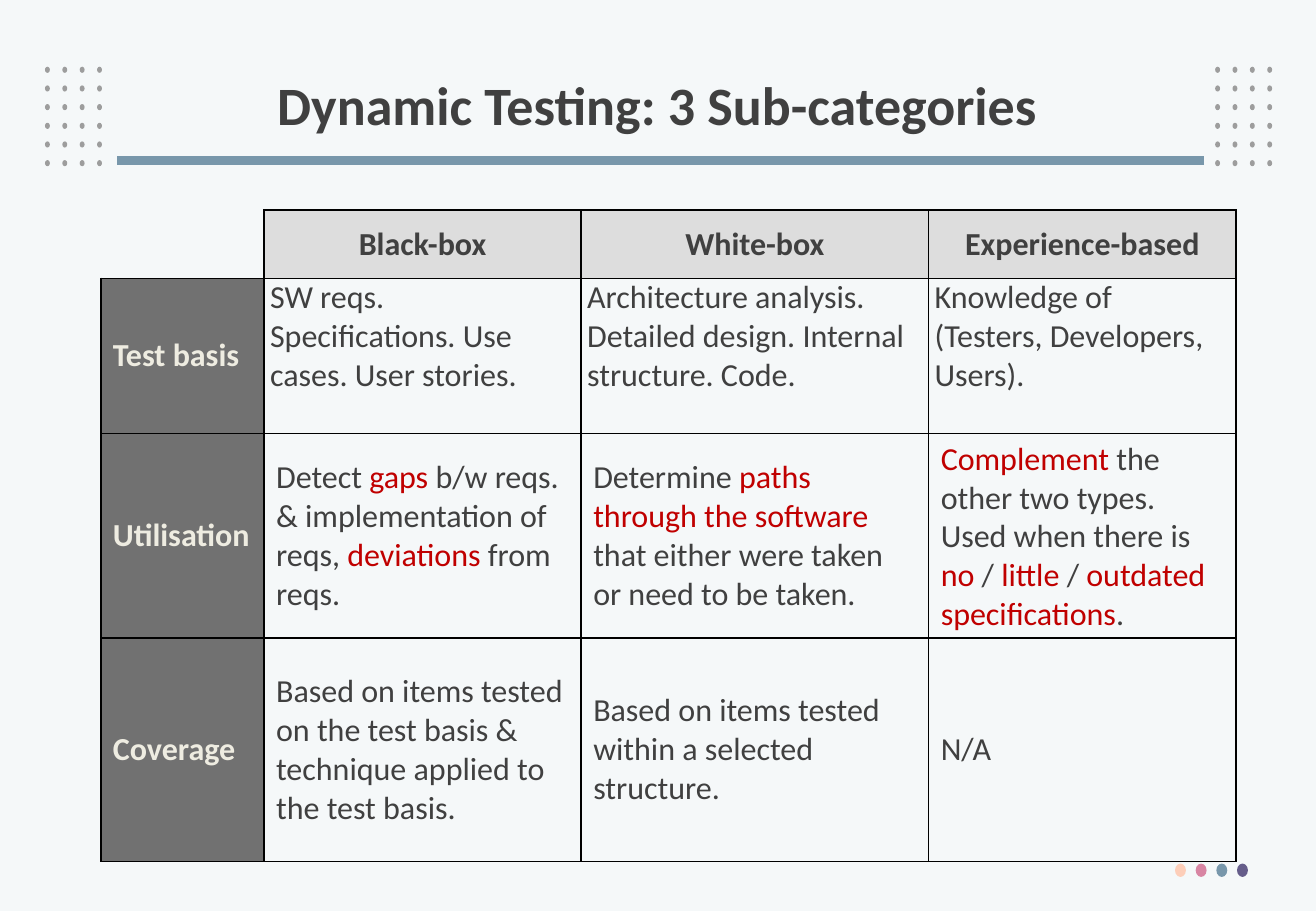
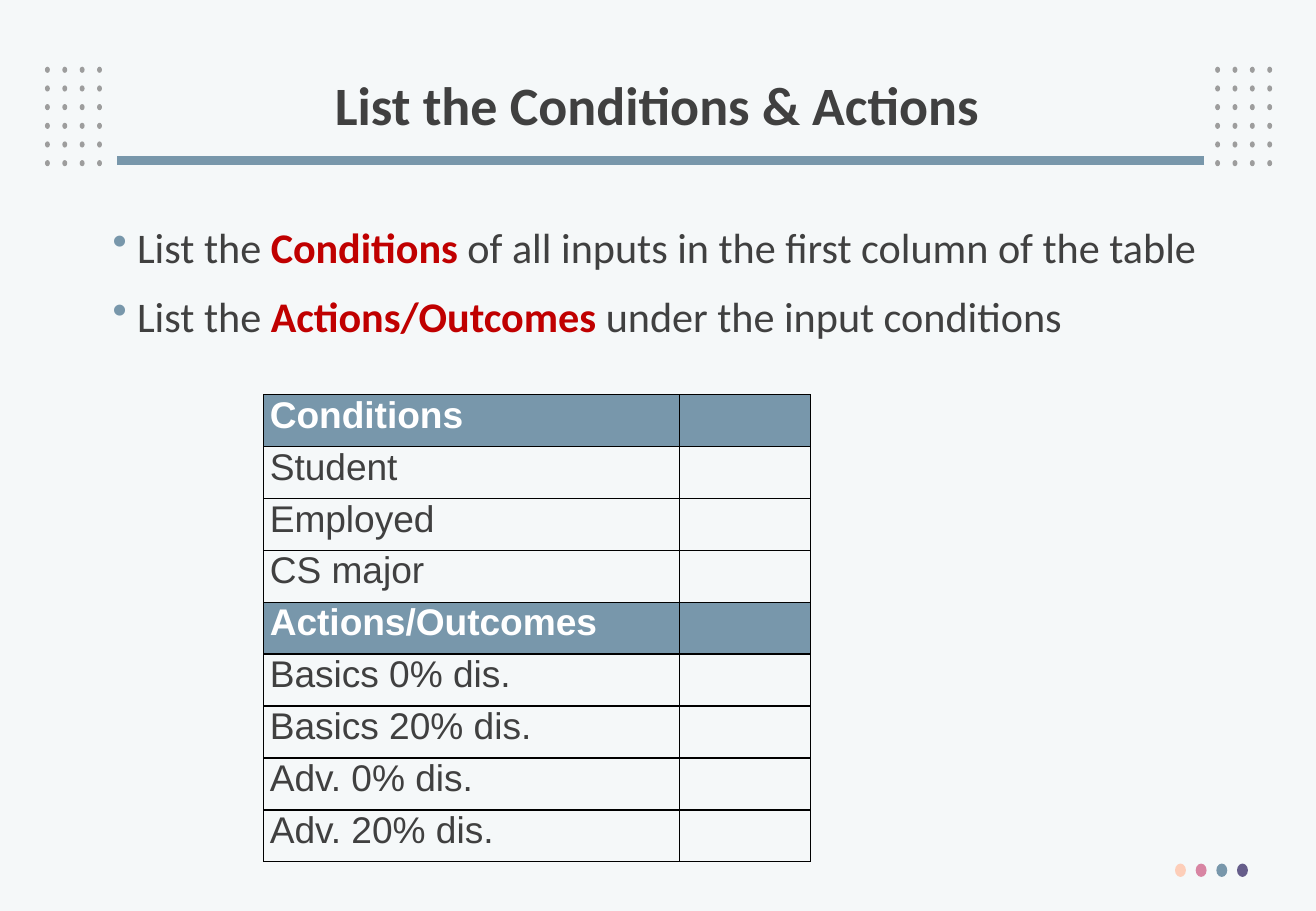
from itertools import product

from lxml.etree import SubElement
from pptx import Presentation
from pptx.dml.color import RGBColor
from pptx.enum.shapes import MSO_CONNECTOR as Connector, MSO_SHAPE as Shape
from pptx.enum.text import MSO_ANCHOR as Anchor, PP_ALIGN as Align
from pptx.oxml.ns import qn
from pptx.util import Inches, Pt

WIDTH, HEIGHT = 10.83, 7.5
BACKGROUND, INK, ACCENT, BLUE = "F5F8F9", "404040", "C00000", "7897AB"
WHITE, BLACK, CREAM = "FFFFFF", "000000", "EEECE1"
DOT_GREY, HEADER_GREY, LABEL_GREY = "9D9D9D", "DDDDDD", "717171"
FOOTER_COLORS = ("FDCEB9", "D885A3", BLUE, "655D8A")
NO_TABLE_STYLE = "{2D5ABB26-0587-4C30-8999-92F81FD0307C}"

TESTING_ROWS = (
    ("", "Black-box", "White-box", "Experience-based"),
    ("Test basis",
     "SW reqs. Specifications. Use cases. User stories.",
     "Architecture analysis. Detailed design. Internal structure. Code.",
     "Knowledge of\n(Testers, Developers, Users)."),
    ("Utilisation",
     "Detect *gaps* b/w reqs. & implementation of reqs, *deviations* from reqs.",
     "Determine *paths through the software *that either were taken or need to be taken.",
     "*Complement* the other two types.\n"
     "Used when there is *no* / *little* / *outdated specifications*."),
    ("Coverage",
     "Based on items tested on the test basis & technique applied to the test basis.",
     "Based on items tested within a selected structure.",
     "N/A"),
)
DECISION_GROUPS = {
    "Conditions": ("Student", "Employed", "CS major"),
    "Actions/Outcomes": ("Basics 0% dis.", "Basics 20% dis.", "Adv. 0% dis.", "Adv. 20% dis."),
}
BULLETS = ("List the *Conditions *of all inputs in the first column of the table\n"
           "List the *Actions/Outcomes *under the input conditions")


def across(percent):
    """Return a percentage of the slide width as a length."""
    return Inches(WIDTH * percent / 100)


def down(percent):
    """Return a percentage of the slide height as a length."""
    return Inches(HEIGHT * percent / 100)


def box(left, top, width, height):
    """Return a rectangle given in percentages as four lengths."""
    return across(left), down(top), across(width), down(height)


def paint(color_format, color):
    """Apply a hex colour to a fill or a line fill."""
    color_format.solid()
    color_format.fore_color.rgb = RGBColor.from_string(color)


def add_bullet(paragraph):
    """Give a paragraph a blue bullet with a hanging indent."""
    properties = paragraph._p.get_or_add_pPr()
    properties.set("marL", str(Inches(0.2)))
    properties.set("indent", str(-Inches(0.2)))
    color = SubElement(properties, qn("a:buClr"))
    SubElement(color, qn("a:srgbClr"), val=BLUE)
    SubElement(properties, qn("a:buChar"), char="•")


def write_text(frame, text, size, font="Calibri", color=INK, bold=False, align=Align.LEFT,
               line_spacing=None, space_before=None, bullet=False, bold_accent=False):
    """Write paragraphs split at line ends, with accents between asterisks."""
    frame.word_wrap = True
    for index, line in enumerate(text.split("\n")):
        paragraph = frame.add_paragraph() if index else frame.paragraphs[0]
        paragraph.alignment = align
        paragraph.line_spacing = line_spacing
        paragraph.space_before = space_before
        if bullet:
            add_bullet(paragraph)
        paragraph.font.size, paragraph.font.name = Pt(size), font
        paragraph.font.bold = bold
        paint(paragraph.font.fill, color)
        for position, part in enumerate(line.split("*")):
            if not part:
                continue
            run = paragraph.add_run()
            run.text = part
            if position % 2:
                paint(run.font.fill, ACCENT)
                run.font.bold = bold_accent or None


def add_text_box(slide, bounds, text, size, anchor=Anchor.TOP, **style):
    """Add a wrapped text box."""
    frame = slide.shapes.add_textbox(*box(*bounds)).text_frame
    frame.vertical_anchor = anchor
    write_text(frame, text, size, **style)


def add_dot(slide, bounds, color):
    """Add a plain filled ellipse."""
    dot = slide.shapes.add_shape(Shape.OVAL, *box(*bounds))
    dot.shadow.inherit = False
    paint(dot.fill, color)
    dot.line.fill.background()


def add_rule(slide):
    """Add the blue line under the title."""
    rule = slide.shapes.add_connector(Connector.STRAIGHT, across(91.5), down(17.6),
                                      across(8.86), down(17.6))
    paint(rule.line.fill, BLUE)
    rule.line.width = Pt(5.25)
    SubElement(rule.element.spPr, qn("a:effectLst"))


def add_base_slide(presentation, title):
    """Add a slide with the shared dots, rule and title."""
    slide = presentation.slides.add_slide(presentation.slide_layouts[6])
    for left, column, row in product((3.42, 92.34), range(4), range(6)):
        add_dot(slide, (left + column * 1.32, 7.33 + row * 2.05, 0.37, 0.67), DOT_GREY)
    add_rule(slide)
    for index, color in enumerate(FOOTER_COLORS):
        add_dot(slide, (89.29 + index * 1.57, 94.8, 0.83, 1.47), color)
    add_text_box(slide, (6.83, 5.33, 86.24, 13.07), title, 32, Anchor.MIDDLE,
                 bold=True, align=Align.CENTER, line_spacing=0.9)
    return slide


def add_grid(slide, left, top, columns, rows):
    """Add an unstyled table with the given column and row shares."""
    frame = slide.shapes.add_table(len(rows), len(columns),
                                   *box(left, top, sum(columns), sum(rows)))
    table = frame.table
    table.first_row = table.horz_banding = False
    next(frame.element.iter(qn("a:tableStyleId"))).text = NO_TABLE_STYLE
    for column, share in zip(table.columns, columns):
        column.width = across(share)
    for row, share in zip(table.rows, rows):
        row.height = down(share)
    return table


def fill_cell(cell, text, size, fill=None, tight=False, **style):
    """Border, fill and write one table cell."""
    properties = cell._tc.get_or_add_tcPr()
    for side in "LRTB":
        border = SubElement(properties, qn(f"a:ln{side}"), w=str(Pt(1)))
        solid = SubElement(border, qn("a:solidFill"))
        SubElement(solid, qn("a:srgbClr"), val=BLACK)
    if fill:
        paint(cell.fill, fill)
    else:
        cell.fill.background()
    if tight:
        cell.margin_left = cell.margin_right = Inches(0.05)
        cell.margin_top = cell.margin_bottom = 0
    else:
        cell.vertical_anchor = Anchor.MIDDLE
    if text:
        write_text(cell.text_frame, text, size, **style)


def build_testing_slide(presentation):
    """Build the comparison of dynamic testing sub-categories."""
    slide = add_base_slide(presentation, "Dynamic Testing: 3 Sub-categories")
    table = add_grid(slide, 7.66, 23.07, (12.4, 24.1, 26.41, 23.36),
                     (7.47, 17.07, 18.93, 24.53))
    header = dict(fill=HEADER_GREY, bold=True, align=Align.CENTER)
    label = dict(fill=LABEL_GREY, bold=True, color=CREAM)
    for row, texts in enumerate(TESTING_ROWS):
        for column, text in enumerate(texts):
            if not text:
                table.cell(row, column).fill.background()
                continue
            style = header if row == 0 else label if column == 0 else dict(tight=row == 1)
            fill_cell(table.cell(row, column), text, 19, **style)


def build_decision_slide(presentation):
    """Build the list of conditions and actions."""
    slide = add_base_slide(presentation, "List the Conditions & Actions")
    add_text_box(slide, (7.66, 23.07, 85.5, 18.13), BULLETS, 25, line_spacing=1.1,
                 space_before=Pt(8.1), bullet=True, bold_accent=True)
    lines = [text for heading, items in DECISION_GROUPS.items() for text in (heading, *items)]
    table = add_grid(slide, 20.04, 43.33, (31.58, 9.97), [5.7] * len(lines))
    heading_style = dict(fill=BLUE, color=WHITE, bold=True)
    for row, text in enumerate(lines):
        style = heading_style if text in DECISION_GROUPS else {}
        for column, content in enumerate((text, "")):
            fill_cell(table.cell(row, column), content, 22, font="Arial", tight=True, **style)


def main():
    """Build and save the presentation."""
    presentation = Presentation()
    presentation.slide_width, presentation.slide_height = Inches(WIDTH), Inches(HEIGHT)
    paint(presentation.slide_master.background.fill, BACKGROUND)
    build_testing_slide(presentation)
    build_decision_slide(presentation)
    presentation.save("out.pptx")


if __name__ == "__main__":
    main()
